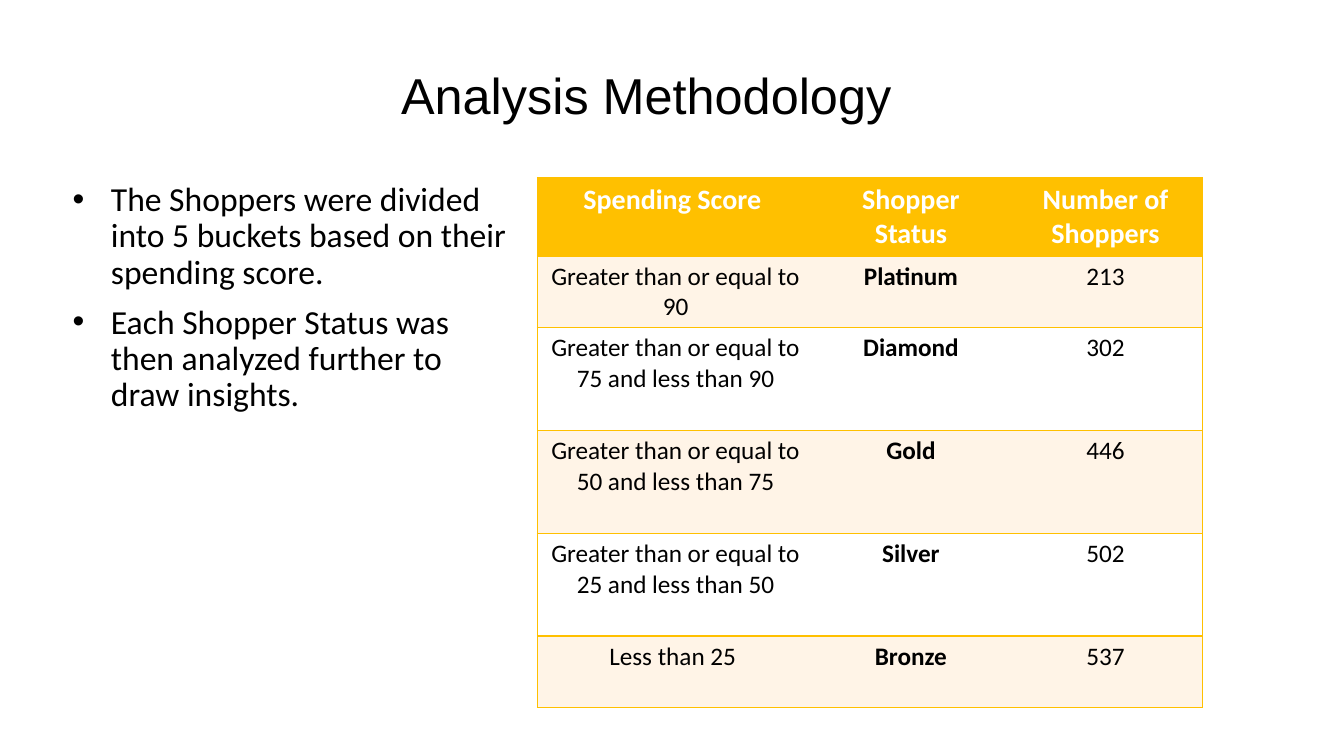
from lxml import etree
from pptx import Presentation
from pptx.dml.color import RGBColor
from pptx.enum.text import MSO_ANCHOR, MSO_AUTO_SIZE, PP_ALIGN
from pptx.oxml.ns import qn
from pptx.util import Inches, Pt

CENTER, LEFT = PP_ALIGN.CENTER, PP_ALIGN.LEFT
TOP, BOTTOM = MSO_ANCHOR.TOP, MSO_ANCHOR.BOTTOM
NO_AUTOFIT = MSO_AUTO_SIZE.NONE

BLACK, WHITE, GOLD, CREAM = "000000", "FFFFFF", "FFC000", "FFF4E7"
COLUMN_WIDTHS = [2.74, 1.93, 1.93]
ROW_HEIGHTS = [0.78, 0.71, 1.02, 1.02, 1.02, 0.71]
BULLETS = [
    "The Shoppers were divided into 5 buckets based on their spending score.",
    "Each Shopper Status was then analyzed further to draw insights.",
]
SHOPPER_ROWS = [
    ["Spending Score ", "Shopper Status", "Number of Shoppers"],
    ["Greater than or equal to 90", "Platinum", "213"],
    ["Greater than or equal to 75 and less than 90", "Diamond", "302"],
    ["Greater than or equal to 50 and less than 75", "Gold", "446"],
    ["Greater than or equal to 25 and less than 50", "Silver", "502"],
    ["Less than 25 ", "Bronze", "537"],
]


def rgb(color):
    return RGBColor.from_string(color)


def style_paragraph(para, font_name, size, color, align, bold=False):
    para.alignment = align
    para.font.name = font_name
    para.font.size = Pt(size)
    para.font.bold = bold
    para.font.color.rgb = rgb(color)


def place(box, left, top, width, height, anchor):
    box.left, box.top = Inches(left), Inches(top)
    box.width, box.height = Inches(width), Inches(height)
    frame = box.text_frame
    frame.word_wrap = True
    frame.auto_size = NO_AUTOFIT
    frame.vertical_anchor = anchor
    return frame


def add_title(page, text):
    frame = place(page.shapes.title, 1.41, 0.32, 10, 0.97, BOTTOM)
    frame.text = text
    para = frame.paragraphs[0]
    para.line_spacing = 0.9
    style_paragraph(para, "Arial", 36, BLACK, CENTER)


def add_bullet(para):
    properties = para._p.get_or_add_pPr()
    properties.set("marL", str(Inches(0.38)))
    properties.set("indent", str(-Inches(0.38)))
    font = etree.SubElement(properties, qn("a:buFont"))
    font.set("typeface", "Arial")
    etree.SubElement(properties, qn("a:buChar")).set("char", "•")


def add_bullet_list(page, items):
    frame = place(page.placeholders[1], 0.62, 1.76, 4.5, 5.17, TOP)
    frame.text = "\n".join(items)
    for para in frame.paragraphs:
        para.line_spacing = 0.9
        para.space_before = Pt(10)
        add_bullet(para)
        style_paragraph(para, "Calibri", 24, BLACK, LEFT)


def set_borders(cell, sides):
    properties = cell._tc.get_or_add_tcPr()
    for side in "LRTB":
        line = etree.SubElement(properties, qn(f"a:ln{side}"))
        line.set("w", str(Pt(1)))
        if side in sides:
            fill = etree.SubElement(line, qn("a:solidFill"))
            etree.SubElement(fill, qn("a:srgbClr")).set("val", GOLD)
        else:
            etree.SubElement(line, qn("a:noFill"))


def add_shopper_table(page):
    frame = page.shapes.add_table(
        len(SHOPPER_ROWS), len(COLUMN_WIDTHS), Inches(5.33), Inches(1.76),
        Inches(sum(COLUMN_WIDTHS)), Inches(sum(ROW_HEIGHTS)))
    table = frame.table
    table.horz_banding = False
    for column, width in zip(table.columns, COLUMN_WIDTHS):
        column.width = Inches(width)
    for row, height in zip(table.rows, ROW_HEIGHTS):
        row.height = Inches(height)
    for r, texts in enumerate(SHOPPER_ROWS):
        header = r == 0
        fill = GOLD if header else CREAM if r % 2 else WHITE
        for c, text in enumerate(texts):
            cell = table.cell(r, c)
            set_borders(cell, ("LTB", "TB", "RTB")[c])
            cell.fill.solid()
            cell.fill.fore_color.rgb = rgb(fill)
            cell.text = text
            style_paragraph(
                cell.text_frame.paragraphs[0], "Calibri", 20 if header else 18,
                WHITE if header else BLACK, CENTER, header or c == 1)


def main():
    deck = Presentation()
    deck.slide_width, deck.slide_height = Inches(13.33), Inches(7.5)
    page = deck.slides.add_slide(deck.slide_layouts[0])
    add_title(page, "Analysis Methodology")
    add_bullet_list(page, BULLETS)
    add_shopper_table(page)
    deck.save("out.pptx")


if __name__ == "__main__":
    main()
